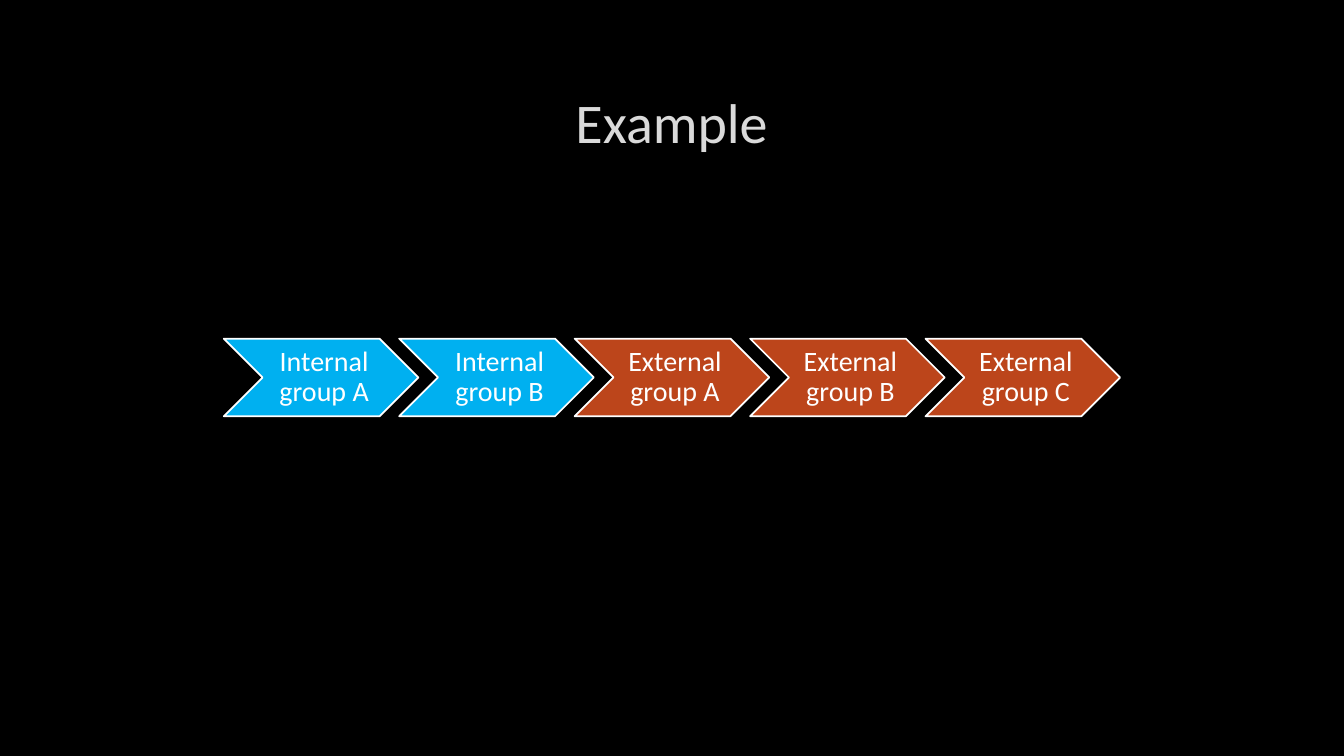
from dataclasses import dataclass

from pptx import Presentation
from pptx.dml.color import RGBColor
from pptx.enum.shapes import MSO_SHAPE as Shape
from pptx.enum.text import MSO_ANCHOR as Anchor, PP_ALIGN as Align
from pptx.slide import Slide
from pptx.text.text import TextFrame
from pptx.util import Inches, Pt

FONT = "Calibri"
BLACK, WHITE, TITLE_GREY = "000000", "FFFFFF", "DADADA"
INTERNAL, EXTERNAL = "00B0F0", "BC451B"

# Chevron row geometry, in inches
ROW_LEFT, ROW_TOP, STEP = 2.22, 3.36, 1.74
STAGE_W, STAGE_H = 1.93, 0.77


@dataclass
class Stage:
    label: str
    color: str


STAGES = [
    Stage("Internal group A", INTERNAL),
    Stage("Internal group B", INTERNAL),
    Stage("External group A", EXTERNAL),
    Stage("External group B", EXTERNAL),
    Stage("External group C", EXTERNAL),
]


def rgb(color: str) -> RGBColor:
    return RGBColor.from_string(color)


def write(tf: TextFrame, text: str, size: float, color: str, spacing: float = 1.0) -> None:
    tf.word_wrap = True
    tf.vertical_anchor = Anchor.MIDDLE
    p = tf.paragraphs[0]
    p.alignment = Align.CENTER
    p.line_spacing = spacing
    r = p.add_run()
    r.text = text
    r.font.name = FONT
    r.font.size = Pt(size)
    r.font.color.rgb = rgb(color)


def add_title(s: Slide, text: str) -> None:
    sp = s.shapes.add_textbox(Inches(1), Inches(0.67), Inches(11.32), Inches(1.06))
    write(sp.text_frame, text, 40, TITLE_GREY)


def add_stage(s: Slide, stage: Stage, left: float) -> None:
    sp = s.shapes.add_shape(Shape.CHEVRON, Inches(left), Inches(ROW_TOP),
                            Inches(STAGE_W), Inches(STAGE_H))
    sp.shadow.inherit = False
    sp.fill.solid()
    sp.fill.fore_color.rgb = rgb(stage.color)
    sp.line.color.rgb = rgb(WHITE)
    sp.line.width = Pt(1.25)
    tf = sp.text_frame
    tf.margin_left = Inches(0.09)
    tf.margin_top = tf.margin_right = tf.margin_bottom = Inches(0.03)
    write(tf, stage.label, 20, WHITE, spacing=0.9)


def main() -> None:
    prs = Presentation()
    prs.slide_width, prs.slide_height = Inches(13.33), Inches(7.5)
    s = prs.slides.add_slide(prs.slide_layouts[6])

    # Background
    s.background.fill.solid()
    s.background.fill.fore_color.rgb = rgb(BLACK)

    # Title and chevron row
    add_title(s, "Example")
    for i, stage in enumerate(STAGES):
        add_stage(s, stage, ROW_LEFT + i * STEP)

    prs.save("out.pptx")


if __name__ == "__main__":
    main()
